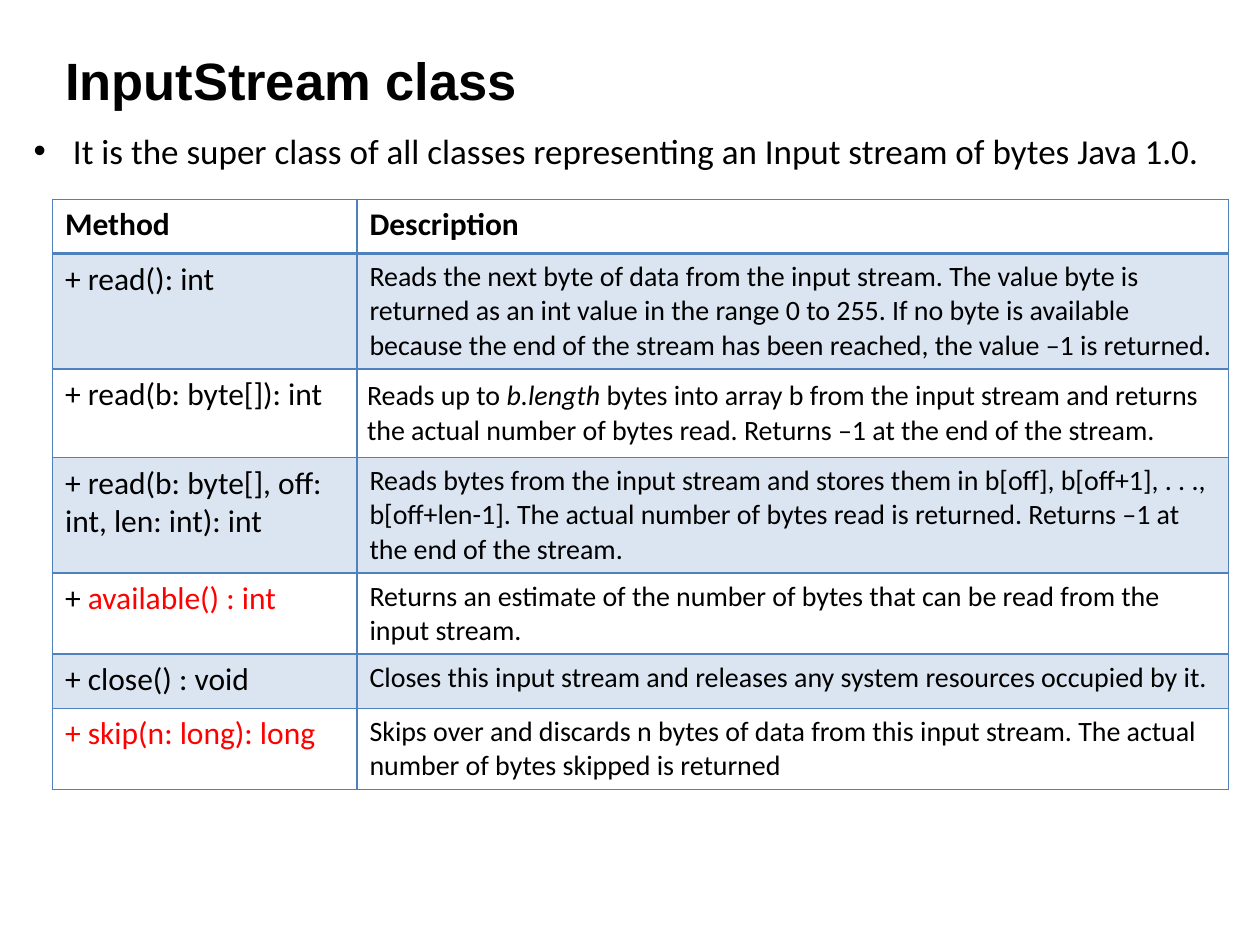
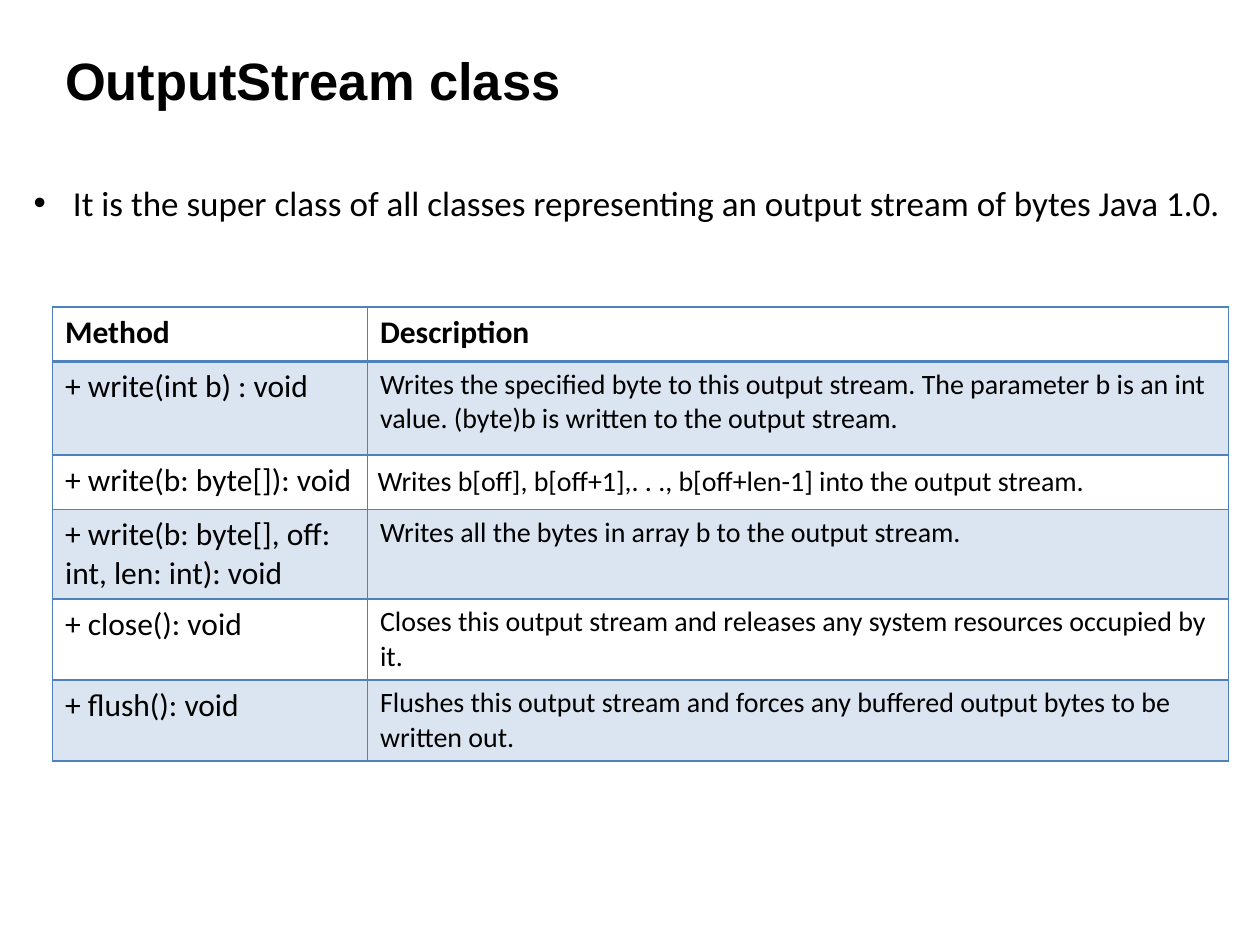
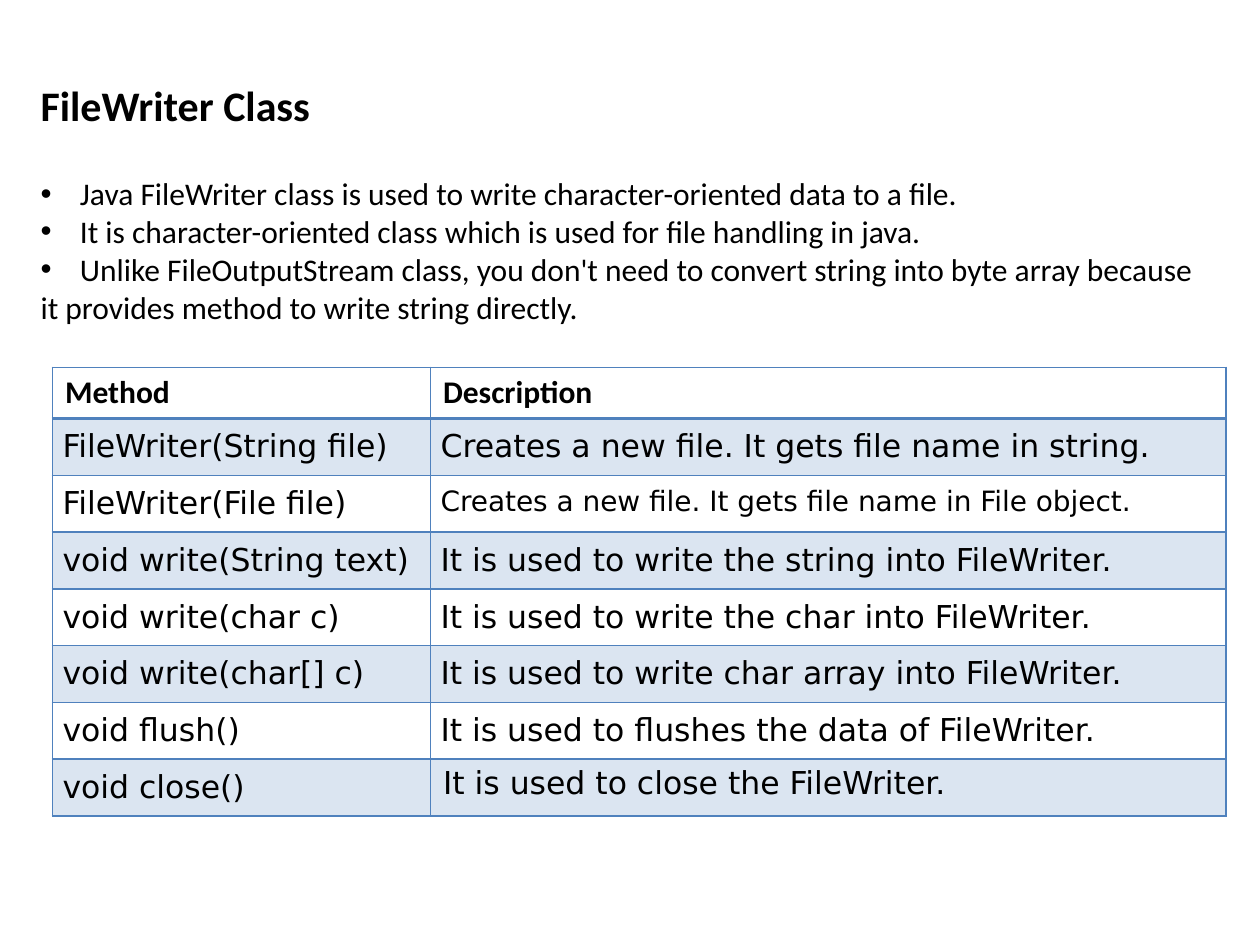
"""Build three slides that describe Java stream and writer classes."""
from itertools import product

from lxml import etree
from pptx import Presentation
from pptx.dml.color import RGBColor
from pptx.enum.text import MSO_ANCHOR, MSO_AUTO_SIZE, PP_ALIGN
from pptx.oxml.ns import qn
from pptx.util import Pt

TOP = MSO_ANCHOR.TOP
FIXED = MSO_AUTO_SIZE.NONE
LEFT = PP_ALIGN.LEFT
JUSTIFY = PP_ALIGN.JUSTIFY

BLACK, RED, BLUE = "000000", "FF0000", "4F81BD"
HEADER = ("Method", "Description")
RED_SPANS = ("available() : int", "+ skip(n: long): long")
ITALIC_SPANS = ("b.length",)
TABLE_LEFT = 30
INDENT = 22.5
PADDING = 5.76


def color(value):
    """Turn a hex string into a colour."""
    return RGBColor.from_string(value)


def style(paragraph, font, size, bold=False, align=LEFT):
    """Format a paragraph and all its runs."""
    paragraph.alignment = align
    paragraph.space_before = Pt(0)
    for span in paragraph.runs:
        span.font.name = font
        span.font.size = Pt(size)
        span.font.bold = bold
        span.font.italic = span.text in ITALIC_SPANS
        span.font.color.rgb = color(RED if span.text in RED_SPANS else BLACK)


pages = [
    {
        "title": "InputStream class",
        "title_box": (30, 24, 284, 44),
        "title_font": ("Arial", 30),
        "bullets": ["It is the super class of all classes representing an Input stream of bytes Java 1.0."],
        "body_box": (12, 70.5, 687, 55.5),
        "body_size": 20,
        "table_top": 114,
        "table_height": 352,
        "columns": (174, 498),
        "row_heights": [31, 53.5] + [31] * 5,
        "cell_font": "Calibri",
        "small": set(product(range(1, 7), [1])),
        "padded": {(2, 1)},
        "align": LEFT,
        "rows": [
            ("+ read(): int",
             "Reads the next byte of data from the input stream. The value byte is returned as an int value "
             "in the range 0 to 255. If no byte is available because the end of the stream has been reached, "
             "the value –1 is returned."),
            ("+ read(b: byte[]): int",
             "Reads up to |b.length| bytes into array b from the input stream and returns the actual number "
             "of bytes read. Returns –1 at the end of the stream."),
            ("+ read(b: byte[], off: int, len: int): int",
             "Reads bytes from the input stream and stores them in b[off], b[off+1], . . ., b[off+len-1]. "
             "The actual number of bytes read is returned. Returns –1 at the end of the stream."),
            ("+ |available() : int",
             "Returns an estimate of the number of bytes that can be read from the input stream."),
            ("+ close() : void",
             "Closes this input stream and releases any system resources occupied by it."),
            ("+ skip(n: long): long",
             "Skips over and discards n bytes of data from this input stream. "
             "The actual number of bytes skipped is returned"),
        ],
    },
    {
        "title": "OutputStream class",
        "title_box": (30, 24, 309, 44),
        "title_font": ("Arial", 30),
        "bullets": ["It is the super class of all classes representing an output stream of bytes Java 1.0."],
        "body_box": (12, 100, 700, 55.5),
        "body_size": 20,
        "table_top": 175.5,
        "table_height": 256.5,
        "columns": (180, 492),
        "row_heights": [31, 53.5] + [31] * 4,
        "cell_font": "Calibri",
        "small": set(product(range(1, 6), [1])),
        "padded": {(2, 1)},
        "align": LEFT,
        "rows": [
            ("+ write(int b) : void",
             "Writes the specified byte to this output stream. The parameter b is an int value. "
             "(byte)b is written to the output stream."),
            ("+ write(b: byte[]): void",
             "Writes b[off], b[off+1],. . ., b[off+len-1] into the output stream."),
            ("+ write(b: byte[], off: int, len: int): void",
             "Writes all the bytes in array b to the output stream."),
            ("+ close(): void",
             "Closes this output stream and releases any system resources occupied by it."),
            ("+ flush(): void",
             "Flushes this output stream and forces any buffered output bytes to be written out."),
        ],
    },
    {
        "title": "FileWriter Class",
        "title_box": (16, 42, 170, 36),
        "title_font": ("Calibri", 24),
        "bullets": [
            "Java FileWriter class is used to write character-oriented data to a file.",
            "It is character-oriented class which is used for file handling in java.",
            "Unlike FileOutputStream class, you don't need to convert string into byte array because",
        ],
        "closing": "it provides method to write string directly.",
        "body_box": (16, 96, 685, 94.5),
        "body_size": 18,
        "table_top": 210,
        "table_height": 264.5,
        "columns": (216, 454.5),
        "row_heights": [29.2] * 8,
        "cell_font": "DejaVu Sans",
        "small": {(2, 1)},
        "padded": set(product(range(1, 8), range(2))) - {(7, 1)},
        "align": JUSTIFY,
        "rows": [
            ("FileWriter(String file)", "Creates a new file. It gets file name in string."),
            ("FileWriter(File file)", "Creates a new file. It gets file name in File object."),
            ("void write(String text)", "It is used to write the string into FileWriter."),
            ("void write(char c)", "It is used to write the char into FileWriter."),
            ("void write(char[] c)", "It is used to write char array into FileWriter."),
            ("void flush()", "It is used to flushes the data of FileWriter."),
            ("void close()", "It is used to close the FileWriter."),
        ],
    },
]

deck = Presentation()
deck.slide_width, deck.slide_height = Pt(720), Pt(540)

for page in pages:
    slide = deck.slides.add_slide(deck.slide_layouts[1])
    title, body = slide.placeholders
    for box, bounds in ((title, page["title_box"]), (body, page["body_box"])):
        box.left, box.top, box.width, box.height = map(Pt, bounds)
        box.text_frame.word_wrap = False
        box.text_frame.auto_size = FIXED
        box.text_frame.vertical_anchor = TOP

    title.text_frame.text = page["title"]
    style(title.text_frame.paragraphs[0], *page["title_font"], bold=True)

    closing = [page["closing"]] if "closing" in page else []
    body.text_frame.text = "\n".join(page["bullets"] + closing)
    for number, para in enumerate(body.text_frame.paragraphs):
        style(para, "Calibri", page["body_size"])
        bulleted = number < len(page["bullets"])
        properties = para._p.get_or_add_pPr()
        properties.set("marL", str(Pt(INDENT) if bulleted else 0))
        properties.set("indent", str(-Pt(INDENT) if bulleted else 0))
        if not bulleted:
            etree.SubElement(properties, qn("a:buNone"))

    rows = [HEADER] + page["rows"]
    frame = slide.shapes.add_table(len(rows), 2, Pt(TABLE_LEFT), Pt(page["table_top"]),
                                   Pt(sum(page["columns"])), Pt(page["table_height"]))
    table = frame.table
    table.first_row = table.horz_banding = False
    for column, width in zip(table.columns, page["columns"]):
        column.width = Pt(width)
    for row, height in zip(table.rows, page["row_heights"]):
        row.height = Pt(height)
    frame.height = Pt(page["table_height"])

    for (row, column) in product(range(len(rows)), range(2)):
        cell = table.cell(row, column)
        para = cell.text_frame.paragraphs[0]
        for text in rows[row][column].split("|"):
            para.add_run().text = text
        padded = (row, column) in page["padded"]
        style(para, page["cell_font"] if row else "Calibri",
              16 if (row, column) in page["small"] else 18,
              bold=row == 0, align=page["align"] if padded else LEFT)
        if padded:
            cell.margin_left = cell.margin_right = Pt(PADDING)
            cell.margin_top = cell.margin_bottom = Pt(PADDING)

        properties = cell._tc.get_or_add_tcPr()
        if row % 2:
            cell.fill.solid()
            cell.fill.fore_color.rgb = color(BLUE)
            tint = properties.find(".//" + qn("a:srgbClr"))
            etree.SubElement(tint, qn("a:alpha"), val="20000")
        else:
            cell.fill.background()
        for position, side in enumerate("LRTB"):
            thick = (row, side) in ((0, "B"), (1, "T"))
            line = etree.Element(qn("a:ln" + side), w=str(Pt(2 if thick else 1)))
            paint = etree.SubElement(line, qn("a:solidFill"))
            etree.SubElement(paint, qn("a:srgbClr"), val=BLUE)
            properties.insert(position, line)

deck.save("out.pptx")
